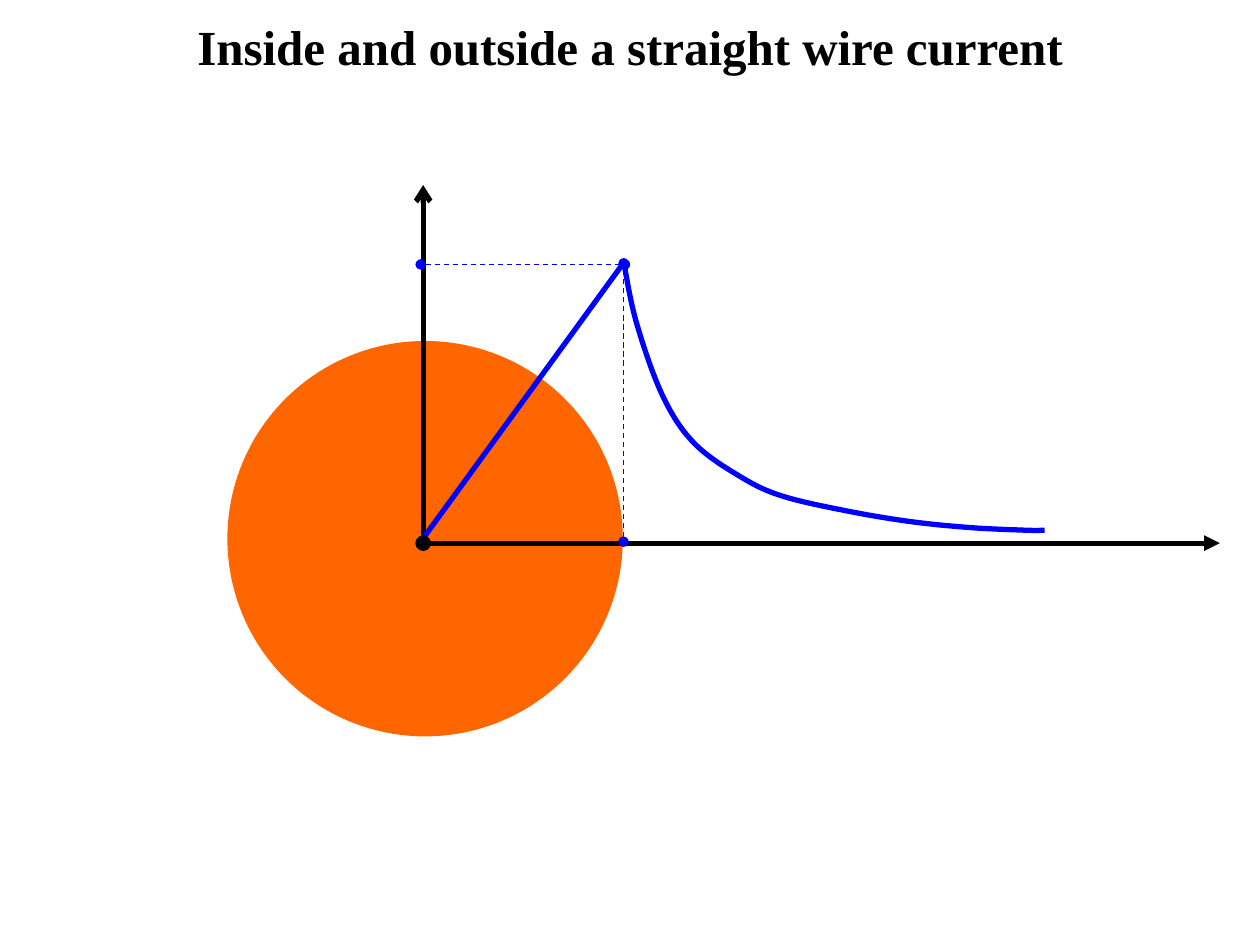
"""Draw the field inside and outside a straight wire current."""
from dataclasses import dataclass
from typing import Any, Optional

from lxml import etree
from pptx import Presentation
from pptx.dml.color import RGBColor
from pptx.enum.dml import MSO_LINE
from pptx.enum.shapes import MSO_CONNECTOR, MSO_SHAPE
from pptx.enum.text import MSO_ANCHOR, PP_ALIGN
from pptx.oxml.ns import qn
from pptx.util import Cm, Pt

DASH = MSO_LINE.DASH
STRAIGHT = MSO_CONNECTOR.STRAIGHT
OVAL = MSO_SHAPE.OVAL
MIDDLE = MSO_ANCHOR.MIDDLE
CENTER = PP_ALIGN.CENTER

Point = tuple[float, float]


@dataclass(frozen=True)
class Theme:
    """Hold the colours, type and line widths."""
    ink: RGBColor = RGBColor(0, 0, 0)
    field: RGBColor = RGBColor(0, 0, 255)
    wire: RGBColor = RGBColor(255, 102, 0)
    face: str = "Times New Roman"
    size: float = 28
    bold: float = 3
    rim: float = 2
    thin: float = 0.75


@dataclass(frozen=True)
class Stroke:
    """Describe one straight line and its ends."""
    start: Point
    stop: Point
    color: RGBColor
    width: float
    head: Optional[str] = None
    tail: Optional[str] = None
    dash: Optional[Any] = None


THEME = Theme()
RIGHT, BASE, LEFT = 24.59, 10.95, 8.53
EDGE, PEAK = 12.57, 5.33

AXIS_Y = Stroke((LEFT, BASE), (LEFT, 3.73), THEME.ink, THEME.bold, tail="arrow")
RAMP = Stroke((8.46, BASE), (12.62, 5.23), THEME.field, THEME.bold)
LEVEL = Stroke((12.6, PEAK), (8.48, PEAK), THEME.field, THEME.thin,
               "oval", "oval", DASH)
AXIS_X = Stroke((LEFT, BASE), (RIGHT, BASE), THEME.ink, THEME.bold,
                "oval", "triangle")
DROP = Stroke((EDGE, 10.92), (EDGE, 5.31), THEME.field, THEME.thin,
              "oval", "oval", DASH)
DECAY: list[Point] = [
    (EDGE, 5.26), (12.83, 6.5), (13.36, 7.98), (14, 8.94), (14.96, 9.63),
    (15.8, 10.01), (17.12, 10.31), (18.39, 10.52), (19.61, 10.64),
    (20.7, 10.69), (21.06, 10.69),
]


def assign(target: Any, values: dict[str, Any]) -> None:
    """Set each named value on the target."""
    for name, value in values.items():
        setattr(target, name, value)


def add_title(slide: Any, text: str) -> None:
    """Place and format the title."""
    title = slide.shapes.title
    assign(title, {"left": 0, "top": Cm(0.2), "width": Cm(25.4), "height": Cm(1.45)})
    frame = title.text_frame
    frame.text = text
    assign(frame, {"vertical_anchor": MIDDLE, "word_wrap": True})
    para = frame.paragraphs[0]
    para.alignment = CENTER
    assign(para.font, {"name": THEME.face, "size": Pt(THEME.size), "bold": True})
    para.font.color.rgb = THEME.ink


def add_wire(slide: Any) -> None:
    """Draw the round section of the wire."""
    disc = slide.shapes.add_shape(OVAL, Cm(4.62), Cm(6.91), Cm(7.9), Cm(7.9))
    disc.shadow.inherit = False
    disc.fill.solid()
    disc.fill.fore_color.rgb = THEME.wire
    disc.line.color.rgb = THEME.wire
    disc.line.width = Pt(THEME.rim)


def add_stroke(slide: Any, stroke: Stroke) -> None:
    """Draw one straight line with its ends."""
    ends = [Cm(value) for value in stroke.start + stroke.stop]
    shape = slide.shapes.add_connector(STRAIGHT, *ends)
    line = shape.line
    line.color.rgb = stroke.color
    assign(line, {"width": Pt(stroke.width), "dash_style": stroke.dash})
    props = shape._element.spPr
    for tag, kind in (("a:headEnd", stroke.head), ("a:tailEnd", stroke.tail)):
        if kind:
            etree.SubElement(props.find(qn("a:ln")), qn(tag), type=kind)
    etree.SubElement(props, qn("a:effectLst"))


def smooth(knots: list[Point], steps: int = 12) -> list[Point]:
    """Run a Catmull-Rom spline through the knots."""
    track = [knots[0], *knots, knots[-1]]
    points = [knots[0]]
    for a, b, c, d in zip(track, track[1:], track[2:], track[3:]):
        for step in range(1, steps + 1):
            t = step / steps
            x, y = (
                q + t / 2 * (r - p + t * (2 * p - 5 * q + 4 * r - s
                                          + t * (3 * q - 3 * r + s - p)))
                for p, q, r, s in zip(a, b, c, d)
            )
            points.append((x, y))
    return points


def add_curve(slide: Any, knots: list[Point]) -> None:
    """Draw the falling field outside the wire."""
    first, *rest = [(Cm(x), Cm(y)) for x, y in smooth(knots)]
    pen = slide.shapes.build_freeform(*first)
    pen.add_line_segments(rest, close=False)
    curve = pen.convert_to_shape()
    curve.shadow.inherit = False
    curve.fill.background()
    curve.line.color.rgb = THEME.field
    curve.line.width = Pt(THEME.bold)


def main() -> None:
    """Build and save the slide."""
    deck = Presentation()
    assign(deck, {"slide_width": Cm(25.4), "slide_height": Cm(19.05)})
    slide = deck.slides.add_slide(deck.slide_layouts[5])
    add_title(slide, "Inside and outside a straight wire current")
    add_wire(slide)
    for stroke in (AXIS_Y, RAMP):
        add_stroke(slide, stroke)
    add_curve(slide, DECAY)
    for stroke in (LEVEL, AXIS_X, DROP):
        add_stroke(slide, stroke)
    deck.save("out.pptx")


if __name__ == "__main__":
    main()
